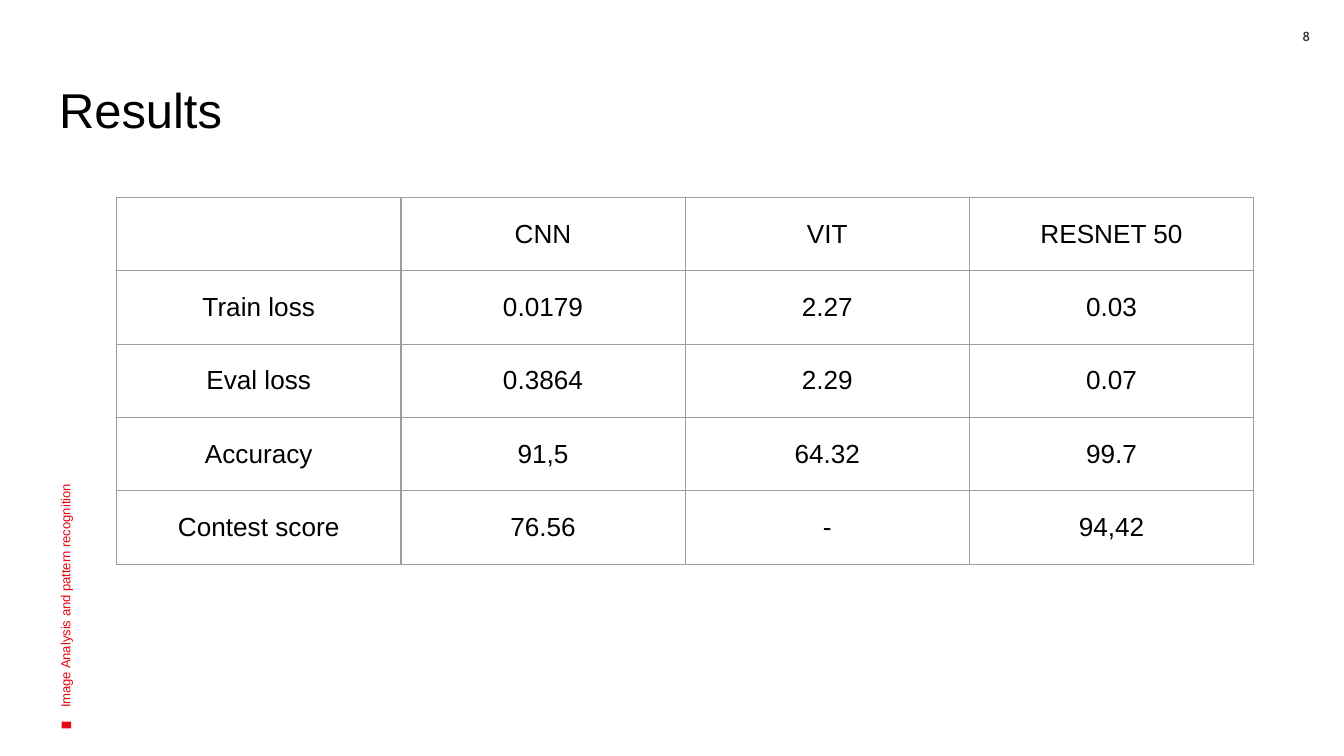
from dataclasses import dataclass

from lxml.etree import SubElement
from pptx import Presentation
from pptx.dml.color import RGBColor
from pptx.enum.shapes import MSO_SHAPE
from pptx.enum.text import MSO_ANCHOR as Anchor, MSO_AUTO_SIZE as AutoSize, PP_ALIGN as Align
from pptx.oxml.ns import qn
from pptx.util import Pt


@dataclass(frozen=True)
class Theme:
    """Hold the colours, fonts and type sizes of the slide."""
    text: str = "000000"
    accent: str = "E30613"
    number: str = "413C3A"
    border: str = "9E9E9E"
    font: str = "Arial"
    number_font: str = "Cabin"
    title_size: float = 26.2
    table_size: float = 14
    small_size: float = 7
    border_width: float = 0.75


THEME = Theme()
RESULTS = [
    ("", "CNN", "VIT", "RESNET 50"),
    ("Train loss", "0.0179", "2.27", "0.03"),
    ("Eval loss", "0.3864", "2.29", "0.07"),
    ("Accuracy", "91,5", "64.32", "99.7"),
    ("Contest score", "76.56", "-", "94,42"),
]


def write(frame, text, size, color=THEME.text, font=THEME.font, bold=False, align=Align.LEFT):
    """Write one formatted run into the first paragraph of a text frame."""
    paragraph = frame.paragraphs[0]
    paragraph.alignment = align
    run = paragraph.add_run()
    run.text = text
    run.font.size = Pt(size)
    run.font.name = font
    run.font.bold = bold
    run.font.color.rgb = RGBColor.from_string(color)


def set_frame(frame, margin_x, margin_y, anchor=Anchor.TOP):
    """Set wrapping, insets and anchor of a text frame."""
    frame.word_wrap = True
    frame.auto_size = AutoSize.NONE
    frame.margin_left = frame.margin_right = Pt(margin_x)
    frame.margin_top = frame.margin_bottom = Pt(margin_y)
    frame.vertical_anchor = anchor


def add_title(slide, text):
    """Place and fill the title placeholder."""
    title = slide.shapes.title
    title.left, title.top, title.width, title.height = Pt(24.5), Pt(35.3), Pt(671), Pt(45.4)
    set_frame(title.text_frame, 7.2, 7.2)
    write(title.text_frame, text, THEME.title_size)


def add_page_number(slide, text):
    """Add the page number in the top right corner."""
    box = slide.shapes.add_textbox(Pt(679.7), Pt(15.1), Pt(40.3), Pt(13))
    set_frame(box.text_frame, 7.2, 0)
    write(box.text_frame, text, THEME.small_size, THEME.number, THEME.number_font, True, Align.CENTER)


def add_side_label(slide, text):
    """Add the red marker and the course name that runs up the left edge."""
    marker = slide.shapes.add_shape(MSO_SHAPE.RECTANGLE, Pt(33.8), Pt(385.9), Pt(3.6), Pt(5))
    marker.rotation = 270
    marker.shadow.inherit = False
    marker.fill.solid()
    marker.fill.fore_color.rgb = RGBColor.from_string(THEME.accent)
    marker.line.fill.background()
    label = slide.shapes.add_textbox(Pt(-96.5), Pt(218.9), Pt(262.8), Pt(72))
    label.rotation = 270
    set_frame(label.text_frame, 7.2, 3.6, Anchor.MIDDLE)
    write(label.text_frame, text, THEME.small_size, THEME.accent)


def set_borders(cell):
    """Draw a thin line on all four sides of a table cell."""
    properties = cell._tc.get_or_add_tcPr()
    for side in ("a:lnL", "a:lnR", "a:lnT", "a:lnB"):
        line = SubElement(properties, qn(side), w=str(Pt(THEME.border_width)))
        fill = SubElement(line, qn("a:solidFill"))
        SubElement(fill, qn("a:srgbClr"), val=THEME.border)


def add_results_table(slide, rows):
    """Add the table that compares the models."""
    column_width, row_height = 152.3, 39.3
    column_count = len(rows[0])
    table = slide.shapes.add_table(
        len(rows), column_count, Pt(62.5), Pt(105.8),
        Pt(column_width * column_count), Pt(row_height * len(rows)),
    ).table
    table.first_row = table.horz_banding = False
    for row, values in zip(table.rows, rows):
        for cell, value in zip(row.cells, values):
            set_borders(cell)
            cell.fill.background()
            cell.margin_left = cell.margin_right = Pt(7.2)
            cell.margin_top = cell.margin_bottom = Pt(7.2)
            cell.vertical_anchor = Anchor.MIDDLE
            if value:
                write(cell.text_frame, value, THEME.table_size, align=Align.CENTER)


def main():
    """Build and save the results slide."""
    presentation = Presentation()
    presentation.slide_width, presentation.slide_height = Pt(720), Pt(405)
    slide = presentation.slides.add_slide(presentation.slide_layouts[5])
    add_title(slide, "Results")
    add_page_number(slide, "8")
    add_results_table(slide, RESULTS)
    add_side_label(slide, "Image Analysis and pattern recognition")
    presentation.save("out.pptx")


if __name__ == "__main__":
    main()
